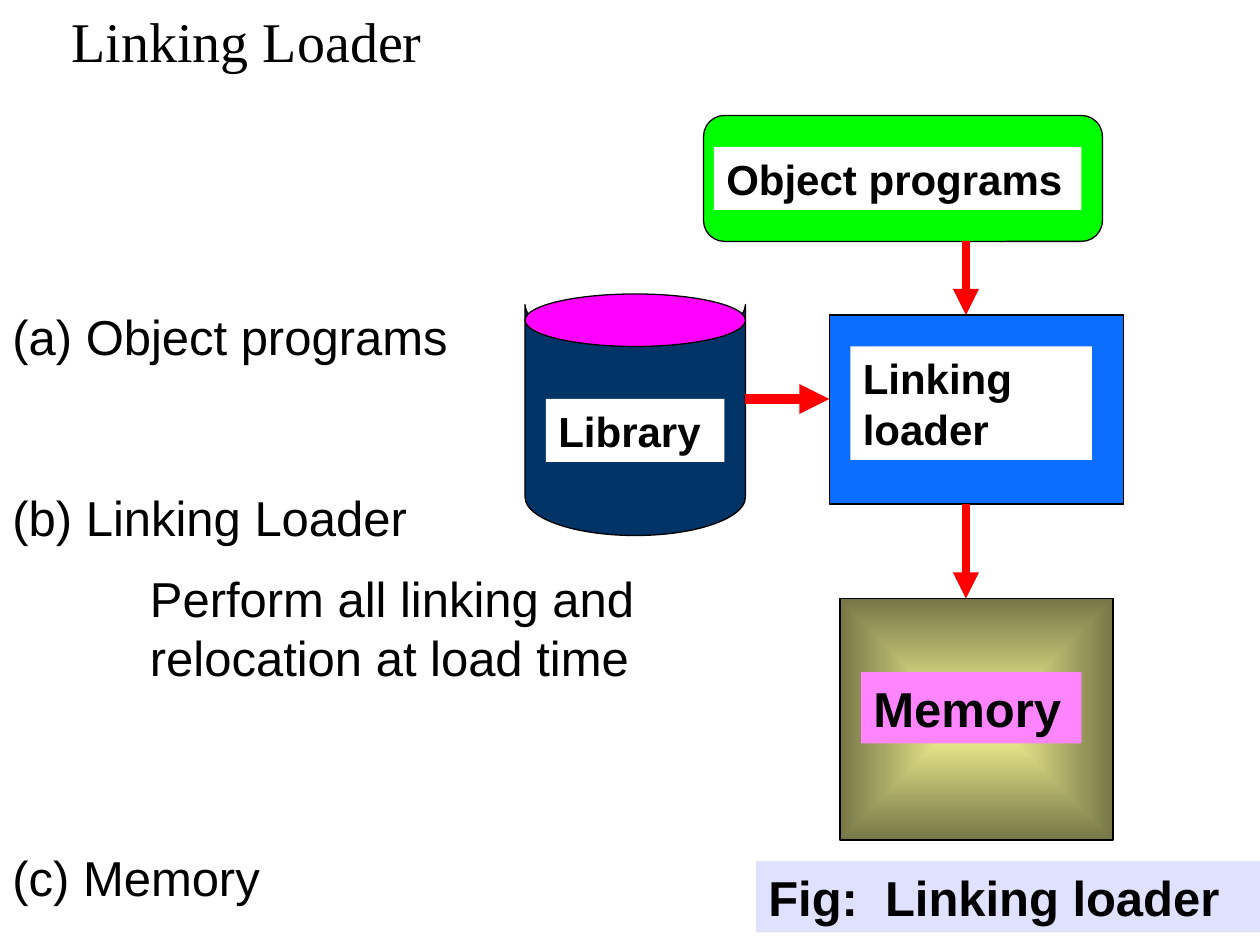
"""Build the Linking Loader slide: an outline beside a flow diagram."""
from lxml import etree
from pptx import Presentation
from pptx.dml.color import RGBColor
from pptx.enum.shapes import MSO_CONNECTOR, MSO_SHAPE
from pptx.enum.text import MSO_ANCHOR, PP_ALIGN
from pptx.oxml.ns import qn
from pptx.util import Inches, Pt

STRAIGHT = MSO_CONNECTOR.STRAIGHT
RECT = MSO_SHAPE.RECTANGLE
ROUNDED = MSO_SHAPE.ROUNDED_RECTANGLE
STORAGE = MSO_SHAPE.FLOWCHART_STORED_DATA
OVAL = MSO_SHAPE.OVAL
TOP = MSO_ANCHOR.TOP
LEFT = PP_ALIGN.LEFT

BLACK = RGBColor(0x00, 0x00, 0x00)
WHITE = RGBColor(0xFF, 0xFF, 0xFF)
NAVY = RGBColor(0x00, 0x33, 0x66)
MAGENTA = RGBColor(0xFF, 0x00, 0xFF)
GREEN = RGBColor(0x00, 0xFF, 0x00)
BLUE = RGBColor(0x0B, 0x6E, 0xFF)
YELLOW = RGBColor(0xFF, 0xFF, 0x99)
OLIVE = RGBColor(0x76, 0x76, 0x47)
PINK = RGBColor(0xFF, 0x85, 0xFF)
PERIWINKLE = RGBColor(0x66, 0x66, 0xFF)
RED = RGBColor(0xFF, 0x00, 0x00)

COLUMNS, ROWS = 120, 90
SLIDE_WIDTH, SLIDE_HEIGHT = Inches(10), Inches(7.5)

BLOCKS = [
    (STORAGE, (49.5, 29.5, 22, 21), NAVY, 270),
    (OVAL, (50, 28, 21, 5), MAGENTA, 0),
    (ROUNDED, (67, 11, 38, 12), GREEN, 0),
    (RECT, (79, 30, 28, 18), BLUE, 0),
    (RECT, (80, 57, 26, 23), (YELLOW, OLIVE), 0),
]
LABELS = [
    ("Library", (52, 38, 17, 6), WHITE, 24, 100),
    ("Object programs", (68, 14, 35, 6), WHITE, 24, 100),
    ("Linking loader", (81, 33, 23, 10.8), WHITE, 24, 100),
    ("Memory", (82, 64, 21, 6.8), PINK, 28, 100),
    ("Fig:  Linking loader", (72, 82, 48, 6.8), PERIWINKLE, 28, 20),
]
ARROWS = [
    ((71, 38), (79, 38), 5.75),
    ((92, 23), (92, 30), 5),
    ((92, 48), (92, 57), 5),
]
TITLE = "Linking Loader"
OUTLINE = [("(a) Object programs", 0), ("(b) Linking Loader", 70), ("(c) Memory", 172)]
DETAIL = ["Perform all linking and", "relocation at load time"]


def grid(*cells):
    units = (SLIDE_WIDTH / COLUMNS, SLIDE_HEIGHT / ROWS)
    return [round(cell * units[i % 2]) for i, cell in enumerate(cells)]


def write(frame, lines, size, font="Arial", bold=False, wrap=True):
    frame.word_wrap = wrap
    frame.vertical_anchor = TOP
    frame.text = "\n".join(lines)
    for paragraph in frame.paragraphs:
        paragraph.alignment = LEFT
        for run in paragraph.runs:
            run.font.size = Pt(size)
            run.font.name = font
            run.font.bold = bold
            run.font.color.rgb = BLACK


def fill_from_center(fill, center, edge):
    fill.gradient()
    for stop, color in zip(fill.gradient_stops, (center, edge)):
        stop.color.rgb = color
    gradient = fill._xPr.find(qn("a:gradFill"))
    gradient.remove(gradient.find(qn("a:lin")))
    path = etree.SubElement(gradient, qn("a:path"), path="rect")
    etree.SubElement(path, qn("a:fillToRect"), l="50000", t="50000", r="50000", b="50000")


def add_block(slide, preset, place, color, rotation):
    block = slide.shapes.add_shape(preset, *grid(*place))
    block.shadow.inherit = False
    block.rotation = rotation
    block.line.color.rgb = BLACK
    block.line.width = Pt(0.75)
    if isinstance(color, RGBColor):
        block.fill.solid()
        block.fill.fore_color.rgb = color
    else:
        fill_from_center(block.fill, *color)


def add_label(slide, text, place, color, size, opacity):
    label = slide.shapes.add_shape(RECT, *grid(*place))
    label.shadow.inherit = False
    label.line.fill.background()
    label.fill.solid()
    label.fill.fore_color.rgb = color
    if opacity < 100:
        tone = label._element.spPr.find(qn("a:solidFill"))[0]
        etree.SubElement(tone, qn("a:alpha"), val=str(opacity * 1000))
    write(label.text_frame, [text], size, bold=True)


def add_arrow(slide, start, end, width):
    arrow = slide.shapes.add_connector(STRAIGHT, *grid(*start, *end))
    arrow.line.color.rgb = RED
    arrow.line.width = Pt(width)
    etree.SubElement(arrow.line._get_or_add_ln(), qn("a:tailEnd"), type="triangle")
    etree.SubElement(arrow._element.spPr, qn("a:effectLst"))


def add_text(slide, place, lines, size, **style):
    frame = slide.shapes.add_textbox(*grid(*place)).text_frame
    write(frame, lines, size, **style)
    return frame


def main():
    deck = Presentation()
    deck.slide_width, deck.slide_height = SLIDE_WIDTH, SLIDE_HEIGHT
    slide = deck.slides.add_slide(deck.slide_layouts[6])
    for block in BLOCKS:
        add_block(slide, *block)
    for label in LABELS:
        add_label(slide, *label)
    for arrow in ARROWS:
        add_arrow(slide, *arrow)

    title = add_text(slide, (3, 0, 109, 7.7), [TITLE], 32, font="Times New Roman")
    title.margin_left = Inches(0.32)
    outline = add_text(slide, (0, 28, 69, 60), [text for text, _ in OUTLINE], 28)
    outline.margin_top = Inches(0.1)
    for paragraph, (_, gap) in zip(outline.paragraphs, OUTLINE):
        paragraph.space_before = Pt(gap)
    add_text(slide, (13.1, 53.6, 49.8, 12.5), DETAIL, 28, wrap=False)
    deck.save("out.pptx")


if __name__ == "__main__":
    main()
